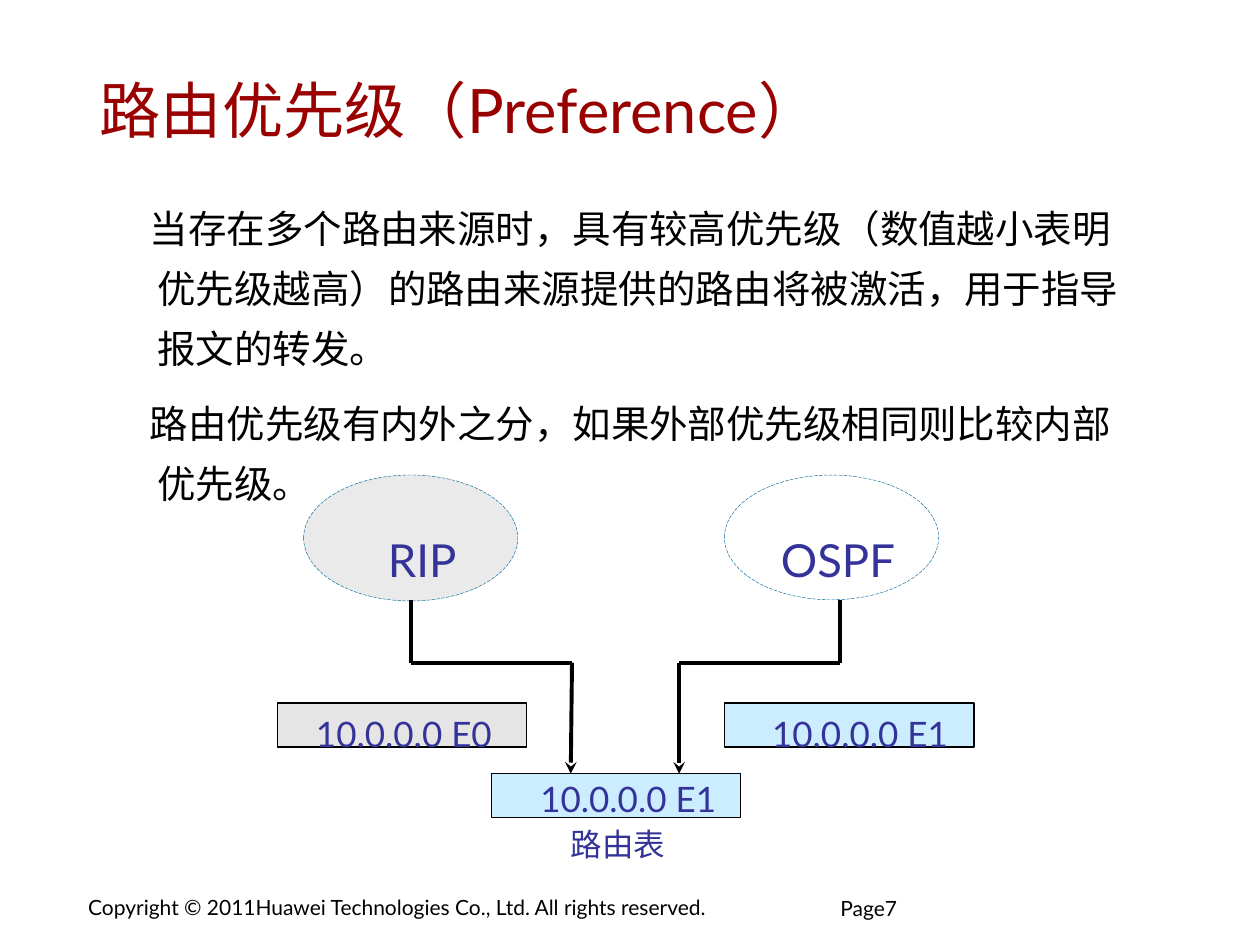
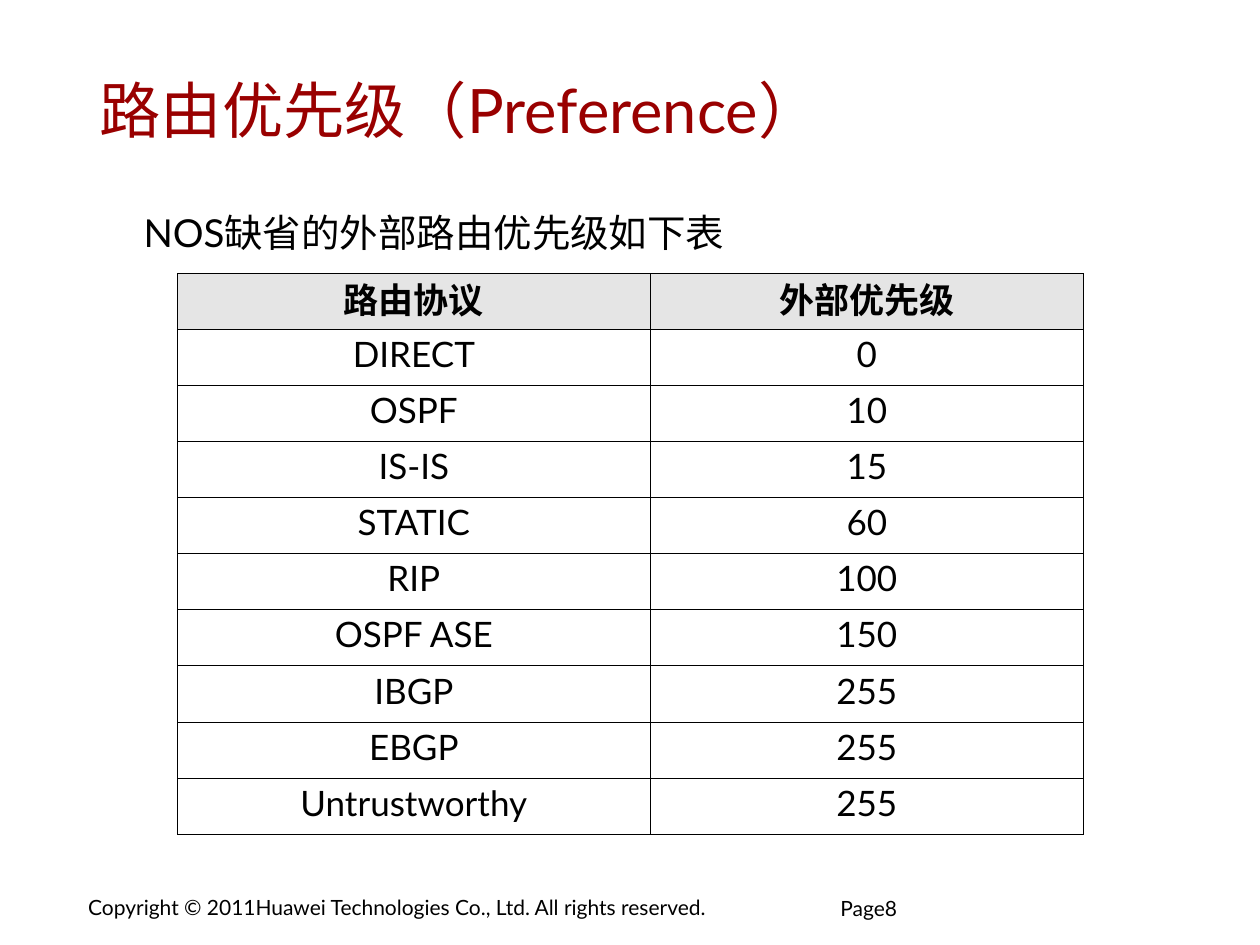
"""Build two slides on routing preference: route selection and default values."""
import pptx
import pptx.dml.color
import pptx.enum.dml
import pptx.enum.shapes
import pptx.enum.text
import pptx.oxml.ns
import pptx.oxml.xmlchemy
import pptx.util
import lxml.etree

COLOURS = {
    "title": "990000", "text": "000000", "diagram_text": "333399",
    "grey": "CCCCCC", "sky": "CCECFF", "outline": "006699",
}
FONT = "Lato"
BODY_INSETS = (0.9, 0.4)
RGB = pptx.dml.color.RGBColor.from_string
qn = pptx.oxml.ns.qn

presentation = pptx.Presentation()
presentation.slide_width = pptx.util.Inches(10)
presentation.slide_height = pptx.util.Inches(7.5)
COLUMN = presentation.slide_width / 100
ROW = presentation.slide_height / 75


def write_text(frame, text, size=20, colour="text", bold=False, centred=False,
               line_spacing=1.0, space_between=0, indent=(0, 0),
               insets=(1, 0.5), middle=False):
    """Fill a text frame, one paragraph per line of text."""
    frame.word_wrap = True
    frame.margin_left = frame.margin_right = round(insets[0] * COLUMN)
    frame.margin_top = frame.margin_bottom = round(insets[1] * ROW)
    anchor = pptx.enum.text.MSO_ANCHOR
    frame.vertical_anchor = anchor.MIDDLE if middle else anchor.TOP
    frame.text = text
    for index, paragraph in enumerate(frame.paragraphs):
        properties = paragraph._p.get_or_add_pPr()
        properties.set("marL", str(round(indent[0] * COLUMN)))
        properties.set("indent", str(round(indent[1] * COLUMN)))
        align = pptx.enum.text.PP_ALIGN
        paragraph.alignment = align.CENTER if centred else align.LEFT
        paragraph.line_spacing = line_spacing
        if index:
            paragraph.space_before = pptx.util.Pt(space_between)
        font = paragraph.runs[0].font
        font.name, font.size, font.bold = FONT, pptx.util.Pt(size), bold
        font.color.rgb = RGB(COLOURS[colour])


def paint(fill, element, colour, opacity):
    """Give a shape or cell a solid fill of some opacity, in percent."""
    if colour is None:
        fill.background()
        return
    fill.solid()
    fill.fore_color.rgb = RGB(COLOURS[colour])
    if opacity < 100:
        colour_element = next(element.iter(qn("a:srgbClr")))
        alpha = lxml.etree.SubElement(colour_element, qn("a:alpha"))
        alpha.set("val", str(opacity * 1000))


slides = []
for page in (7, 8):
    slide = presentation.slides.add_slide(presentation.slide_layouts[6])
    slides.append(slide)
    for place, text, style in (
        ((6.1, 70.6, 55.3, 2.9),
         "Copyright © 2011Huawei Technologies Co., Ltd. All rights reserved.",
         dict(size=12, insets=BODY_INSETS)),
        ((66.7, 71.4, 16.6, 3.6), f"Page{page}",
         dict(size=12, insets=(0, 0), line_spacing=0.85)),
        ((7, 3.9, 84.5, 9.5), "路由优先级（Preference）",
         dict(size=35, colour="title", insets=BODY_INSETS, middle=True)),
    ):
        left, top, width, height = place
        box = slide.shapes.add_textbox(round(left * COLUMN), round(top * ROW),
                                       round(width * COLUMN), round(height * ROW))
        write_text(box.text_frame, text, **style)
selection_slide, defaults_slide = slides

OVAL = pptx.enum.shapes.MSO_SHAPE.OVAL
RECTANGLE = pptx.enum.shapes.MSO_SHAPE.RECTANGLE
protocol_style = dict(size=26, colour="diagram_text", line_spacing=1.4)
route_style = dict(size=20, colour="diagram_text", line_spacing=1.4)
table_label_style = dict(size=18, colour="diagram_text", line_spacing=1.4)
body_style = dict(size=22, insets=BODY_INSETS, space_between=8.2)

nodes = (
    (OVAL, (24.1, 37.7, 17, 10), "grey", 40),
    (OVAL, (57.5, 37.7, 17, 9.9), None, 100),
    (RECTANGLE, (22, 55.8, 19.8, 3.5), "grey", 50),
    (RECTANGLE, (39, 61.4, 19.8, 3.5), "sky", 100),
    (RECTANGLE, (57.5, 55.8, 19.8, 3.5), "sky", 100),
)
texts = (
    (selection_slide, (8.3, 14.8, 82.7, 29.7),
     "当存在多个路由来源时，具有较高优先级（数值越小表明优先级越高）的路由来源提供的路由将被激活，用于指导报文的转发。\n"
     "路由优先级有内外之分，如果外部优先级相同则比较内部优先级。",
     dict(body_style, line_spacing=1.3, indent=(3.3, -0.6))),
    (selection_slide, (44.3, 63.8, 12, 5.2), "路由表", table_label_style),
    (selection_slide, (29.8, 40, 8.5, 7.1), "RIP", protocol_style),
    (selection_slide, (61, 40, 12, 7.1), "OSPF", protocol_style),
    (selection_slide, (24.1, 54.7, 17, 5.7), "10.0.0.0 E0", route_style),
    (selection_slide, (41.9, 59.9, 17.7, 5.7), "10.0.0.0 E1", route_style),
    (selection_slide, (60.3, 54.7, 17.7, 5.7), "10.0.0.0 E1", route_style),
    (defaults_slide, (7.5, 14.7, 74.9, 9.3), "NOS缺省的外部路由优先级如下表",
     dict(body_style, line_spacing=1.4, indent=(3.3, -0.3))),
)
routes_to_table = (
    ((32.6, 47.6), (32.6, 52.6), (45.4, 52.6), (45.3, 61.4)),
    ((66.7, 47.6), (66.7, 52.6), (53.9, 52.6), (53.9, 61.4)),
)

for preset, (left, top, width, height), colour, opacity in nodes:
    shape = selection_slide.shapes.add_shape(
        preset, round(left * COLUMN), round(top * ROW),
        round(width * COLUMN), round(height * ROW))
    shape.shadow.inherit = False
    paint(shape.fill, shape.element, colour, opacity)
    oval = preset == OVAL
    shape.line.color.rgb = RGB(COLOURS["outline" if oval else "text"])
    shape.line.width = pptx.util.Pt(0.25 if oval else 0.75)
    if oval:
        shape.line.dash_style = pptx.enum.dml.MSO_LINE.LONG_DASH

for corners in routes_to_table:
    for start, end in zip(corners, corners[1:]):
        connector = selection_slide.shapes.add_connector(
            pptx.enum.shapes.MSO_CONNECTOR.STRAIGHT,
            round(start[0] * COLUMN), round(start[1] * ROW),
            round(end[0] * COLUMN), round(end[1] * ROW))
        connector.line.color.rgb = RGB(COLOURS["text"])
        connector.line.width = pptx.util.Pt(2.25)
        properties = connector.element.spPr
        if end == corners[-1]:
            line = properties.find(qn("a:ln"))
            lxml.etree.SubElement(line, qn("a:tailEnd")).set("type", "stealth")
        lxml.etree.SubElement(properties, qn("a:effectLst"))

for slide, (left, top, width, height), text, style in texts:
    box = slide.shapes.add_textbox(round(left * COLUMN), round(top * ROW),
                                   round(width * COLUMN), round(height * ROW))
    write_text(box.text_frame, text, **style)

preferences = (
    ("路由协议", "外部优先级"), ("DIRECT", "0"), ("OSPF", "10"),
    ("IS-IS", "15"), ("STATIC", "60"), ("RIP", "100"), ("OSPF ASE", "150"),
    ("IBGP", "255"), ("EBGP", "255"), ("Untrustworthy", "255"),
)
column_widths = (37.5, 34.4)
row_height = 4.45
table = defaults_slide.shapes.add_table(
    len(preferences), len(column_widths), round(14.1 * COLUMN), round(21.7 * ROW),
    round(sum(column_widths) * COLUMN),
    round(len(preferences) * row_height * ROW)).table
table.first_row = table.horz_banding = False
for table_column, width in zip(table.columns, column_widths):
    table_column.width = round(width * COLUMN)
for row_index, row in enumerate(preferences):
    table.rows[row_index].height = round(row_height * ROW)
    header = row_index == 0
    for column_index, text in enumerate(row):
        cell = table.cell(row_index, column_index)
        write_text(cell.text_frame, text, bold=header, centred=True, line_spacing=0.8)
        cell.vertical_anchor = pptx.enum.text.MSO_ANCHOR.MIDDLE
        cell.margin_left = cell.margin_right = round(COLUMN)
        cell.margin_top = cell.margin_bottom = round(0.5 * ROW)
        properties = cell._tc.get_or_add_tcPr()
        paint(cell.fill, properties, "grey" if header else None, 50)
        for position, side in enumerate(("lnL", "lnR", "lnT", "lnB")):
            border = lxml.etree.Element(qn(f"a:{side}"), w=str(pptx.util.Pt(0.45)))
            solid = lxml.etree.SubElement(border, qn("a:solidFill"))
            lxml.etree.SubElement(solid, qn("a:srgbClr")).set("val", COLOURS["text"])
            properties.insert(position, border)

presentation.save("out.pptx")
